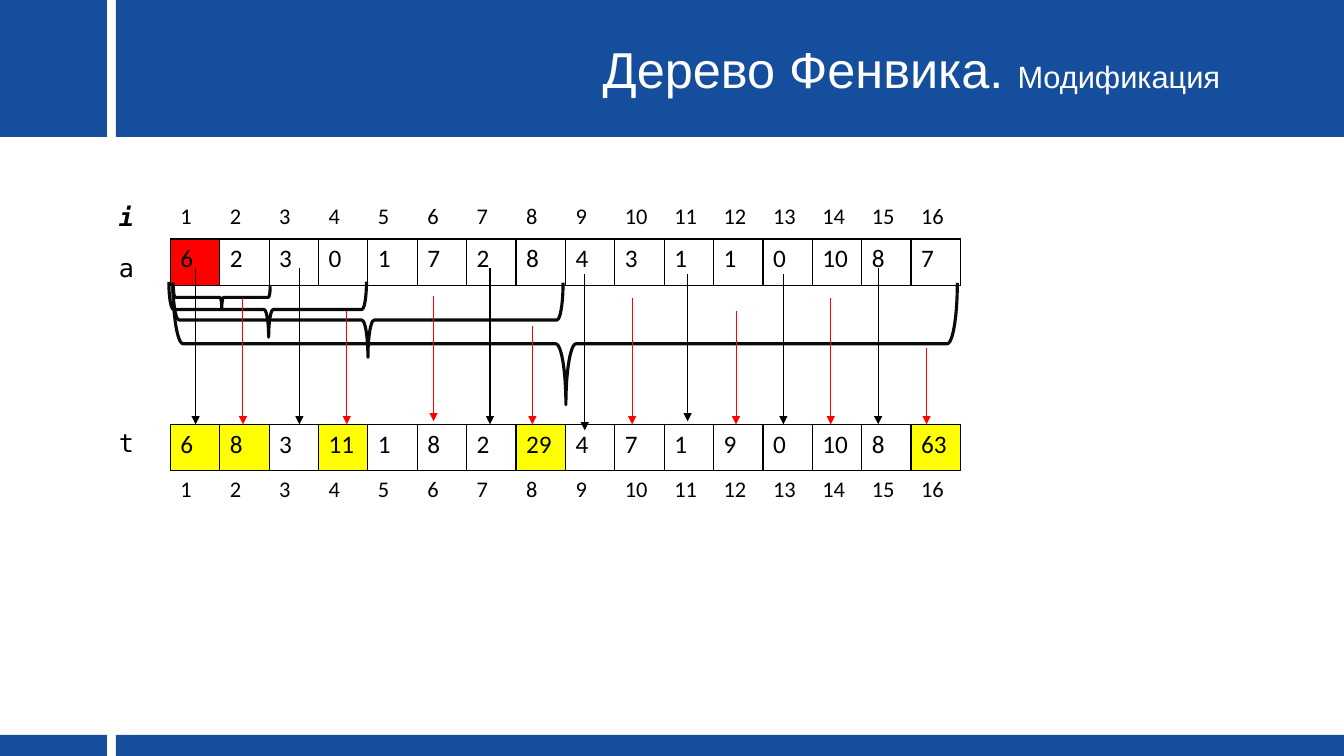
import pptx
import pptx.util
import pptx.dml.color
import pptx.enum.shapes
import pptx.enum.text
import pptx.oxml
import pptx.oxml.ns
from lxml import etree

Inches = pptx.util.Inches
Pt = pptx.util.Pt
qn = pptx.oxml.ns.qn
KIND = pptx.enum.shapes.MSO_SHAPE
COLORS = {"blue": "154E9D", "white": "FFFFFF", "black": "000000",
          "ink": "0A0A0C", "red": "FF0000", "yellow": "FFFF00"}
MONO, SANS, HEAD = "DejaVu Sans Mono", "Calibri", "Arial"


def tint(name):
    return pptx.dml.color.RGBColor.from_string(COLORS[name])


class Board:
    def __init__(self, deck):
        self.slide = deck.slides.add_slide(deck.slide_layouts[6])
        self.shapes = self.slide.shapes

    def style(self, run, font, size, color="black", bold=False, slant=False):
        run.font.name = font
        run.font.size = Pt(size)
        run.font.color.rgb = tint(color)
        run.font.bold = bold
        run.font.italic = slant

    def bar(self, left, top, width, height):
        bar = self.shapes.add_shape(KIND.RECTANGLE, Inches(left), Inches(top),
                                    Inches(width), Inches(height))
        bar.shadow.inherit = False
        bar.fill.solid()
        bar.fill.fore_color.rgb = tint("blue")
        bar.line.fill.background()

    def title(self, left, top, width, height, parts):
        box = self.shapes.add_textbox(Inches(left), Inches(top), Inches(width), Inches(height))
        frame = box.text_frame
        frame.word_wrap = True
        frame.vertical_anchor = pptx.enum.text.MSO_ANCHOR.MIDDLE
        line = frame.paragraphs[0]
        line.alignment = pptx.enum.text.PP_ALIGN.CENTER
        for text, size in parts:
            run = line.add_run()
            run.text = text
            self.style(run, HEAD, size, "white")

    def label(self, left, top, width, height, text):
        box = self.shapes.add_textbox(Inches(left), Inches(top), Inches(width), Inches(height))
        box.text_frame.word_wrap = False
        box.text_frame.text = text
        self.style(box.text_frame.paragraphs[0].runs[0], MONO, 18)

    def edge(self, cell, side, shown):
        line = etree.SubElement(cell._tc.get_or_add_tcPr(), qn("a:ln" + side), w=str(Pt(1)))
        if shown:
            fill = etree.SubElement(line, qn("a:solidFill"))
            etree.SubElement(fill, qn("a:srgbClr"), val=COLORS["black"])
        else:
            etree.SubElement(line, qn("a:noFill"))

    def table(self, left, top, widths, heights, rows, boxed, fills):
        table = self.shapes.add_table(len(heights), len(widths), Inches(left), Inches(top),
                                      Inches(sum(widths)), Inches(sum(heights))).table
        table.first_row = table.horz_banding = False
        for col, width in zip(table.columns, widths):
            col.width = Inches(width)
        for row, height in zip(table.rows, heights):
            row.height = Inches(height)
        for r in range(len(heights)):
            for c in range(len(widths)):
                cell = table.cell(r, c)
                steps = {"L": (0, -1), "R": (0, 1), "T": (-1, 0), "B": (1, 0)}
                for side, (down, right) in steps.items():
                    near = (r + down, c + right)
                    self.edge(cell, side, any(y in boxed and 0 < x < len(widths)
                                              for y, x in ((r, c), near)))
                fill = fills.get((r, c), fills.get(r))
                if fill:
                    cell.fill.solid()
                    cell.fill.fore_color.rgb = tint(fill)
                else:
                    cell.fill.background()
                if r in rows and rows[r][c] != "":
                    cell.text_frame.text = str(rows[r][c])
                    run = cell.text_frame.paragraphs[0].runs[0]
                    head = c == 0
                    first = head and r == 0
                    self.style(run, MONO if head else SANS,
                               18 if head or r in boxed else 16, bold=first, slant=first)

    def brace(self, left, top, width, height, mid):
        brace = self.shapes.add_shape(KIND.LEFT_BRACE, Inches(left), Inches(top),
                                      Inches(width), Inches(height))
        brace.rotation = 270
        brace.adjustments[1] = mid
        brace.shadow.inherit = False
        brace.fill.background()
        brace.line.color.rgb = tint("ink")
        brace.line.width = Pt(2.25)

    def arrow(self, x, top, end, color):
        line = self.shapes.add_connector(pptx.enum.shapes.MSO_CONNECTOR.STRAIGHT,
                                         Inches(x), Inches(top), Inches(x), Inches(end))
        line.line.color.rgb = tint(color)
        line.line.width = Pt(0.75)
        etree.SubElement(line.line._get_or_add_ln(), qn("a:tailEnd"), type="triangle")
        etree.SubElement(line._element.spPr, qn("a:effectLst"))


def main():
    deck = pptx.Presentation()
    deck.slide_width, deck.slide_height = Inches(13.33), Inches(7.5)
    board = Board(deck)

    for top, height in ((0, 1.36), (7.29, 0.21)):
        for left, width in ((0, 1.06), (1.15, 12.18)):
            board.bar(left, top, width, height)
    board.title(5.2, 0.16, 7.68, 1.04, (("Дерево Фенвика. ", 36), ("Модификация", 22)))

    index = list(range(1, 17))
    source = [6, 2, 3, 0, 1, 7, 2, 8, 4, 3, 1, 1, 0, 10, 8, 7]
    tree = [6, 8, 3, 11, 1, 8, 2, 29, 4, 7, 1, 9, 0, 10, 8, 63]
    rows = {0: ["i"] + index, 1: [""] + source, 5: ["t"] + tree, 6: [""] + index}
    fills = {(1, c): "white" for c in index}
    fills[1, 1] = "red"
    fills.update({(5, c): "yellow" for c in (1, 2, 4, 8, 16)})
    board.table(1.08, 1.97, [0.61] + [0.49] * 16, [0.39] + [0.46] * 6, rows, (1, 5), fills)
    board.label(1.08, 2.45, 0.34, 0.4, "a")

    for brace in ((2.09, 2.47, 0.22, 0.96, 0.5), (2.38, 2.09, 0.55, 1.96, 0.505),
                  (3.28, 1.24, 0.74, 3.87, 0.5), (5, -0.48, 1.21, 7.78, 0.501)):
        board.brace(*brace)

    odd = ((1.94, 2.66, 4.21), (2.97, 2.66, 4.21), (4.86, 2.66, 4.21), (5.8, 2.72, 4.27),
           (6.82, 2.72, 4.18), (7.77, 2.72, 4.21), (8.71, 2.66, 4.21))
    even = ((2.41, 2.96, 4.21), (3.44, 3.09, 4.21), (4.3, 2.94, 4.18), (5.28, 3.23, 4.21),
            (6.27, 2.96, 4.21), (7.3, 3.09, 4.21), (8.24, 2.96, 4.21), (9.19, 3.45, 4.21))
    for color, arrows in (("black", odd), ("red", even)):
        for arrow in arrows:
            board.arrow(*arrow, color)

    deck.save("out.pptx")


if __name__ == "__main__":
    main()
